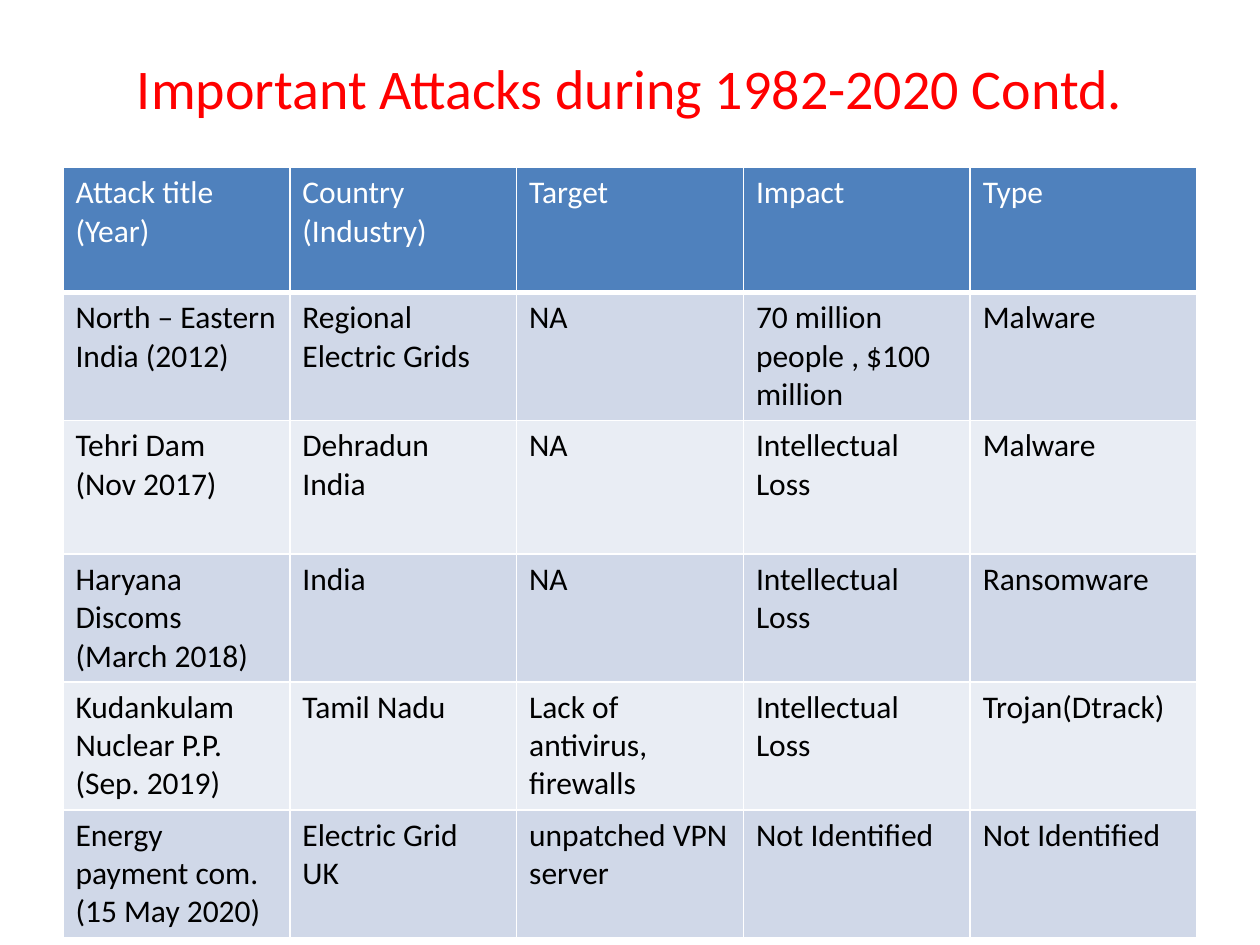
from lxml import etree
from pptx import Presentation
from pptx.dml.color import RGBColor
from pptx.enum import text
from pptx.oxml import ns
from pptx.util import Inches, Pt

THEME = {
    "font": "Calibri", "title_size": Pt(32), "cell_size": Pt(18),
    "title": "FF0000", "head": "4F81BD", "head_text": "FFFFFF",
    "bands": ("E9EDF4", "D0D8E8"), "text": "000000", "border": "FFFFFF",
}
ROWS = [
    ["Attack title (Year)", "Country (Industry)", "Target", "Impact", "Type"],
    ["North – Eastern India (2012)", "Regional Electric Grids", "NA",
     "70 million people , $100 million", "Malware"],
    ["Tehri Dam \n(Nov 2017)", "Dehradun\nIndia", "NA", "Intellectual Loss", "Malware"],
    ["Haryana Discoms\n(March 2018)", "India", "NA", "Intellectual Loss", "Ransomware"],
    ["Kudankulam Nuclear P.P.\n(Sep. 2019)", "Tamil Nadu",
     "Lack of antivirus, firewalls", "Intellectual Loss", "Trojan(Dtrack)"],
    ["Energy payment com. (15 May 2020)", "Electric Grid\nUK",
     "unpatched VPN server ", "Not Identified", "Not Identified"],
]
HEIGHTS = [0.99, 0.99, 1.06, 0.99, 0.99, 0.99]


def style(para, size, color):
    """Set the font of a whole paragraph."""
    para.font.name = THEME["font"]
    para.font.size = size
    para.font.color.rgb = RGBColor.from_string(color)


def border(cell, side, width):
    """Draw one edge of a cell; call before filling it."""
    props = cell._tc.get_or_add_tcPr()
    line = etree.SubElement(props, ns.qn("a:ln" + side), w=str(Pt(width)))
    fill = etree.SubElement(line, ns.qn("a:solidFill"))
    etree.SubElement(fill, ns.qn("a:srgbClr"), val=THEME["border"])


deck = Presentation()
deck.slide_width, deck.slide_height = Inches(10), Inches(7.5)
slide = deck.slides.add_slide(deck.slide_layouts[5])

title = slide.shapes.title
title.left, title.top = Inches(0.5), Inches(0.3)
title.width, title.height = Inches(9), Inches(0.78)
title.text_frame.text = "Important Attacks during 1982-2020 Contd."
title.text_frame.vertical_anchor = text.MSO_ANCHOR.MIDDLE
heading = title.text_frame.paragraphs[0]
heading.alignment = text.PP_ALIGN.CENTER
style(heading, THEME["title_size"], THEME["title"])

table = slide.shapes.add_table(
    len(ROWS), len(ROWS[0]), Inches(0.5), Inches(1.33),
    Inches(9), Inches(sum(HEIGHTS))).table
for column in table.columns:
    column.width = Inches(1.8)

for r, words in enumerate(ROWS):
    table.rows[r].height = Inches(HEIGHTS[r])
    head = r == 0
    shade = THEME["head"] if head else THEME["bands"][r % 2]
    ink = THEME["head_text"] if head else THEME["text"]
    for c, word in enumerate(words):
        cell = table.cell(r, c)
        cell.text = word
        for para in cell.text_frame.paragraphs:
            style(para, THEME["cell_size"], ink)
            para.font.bold = False
        for side in "LRTB":
            thick = (head and side == "B") or (r == 1 and side == "T")
            border(cell, side, 3 if thick else 1)
        cell.fill.solid()
        cell.fill.fore_color.rgb = RGBColor.from_string(shade)

deck.save("out.pptx")
